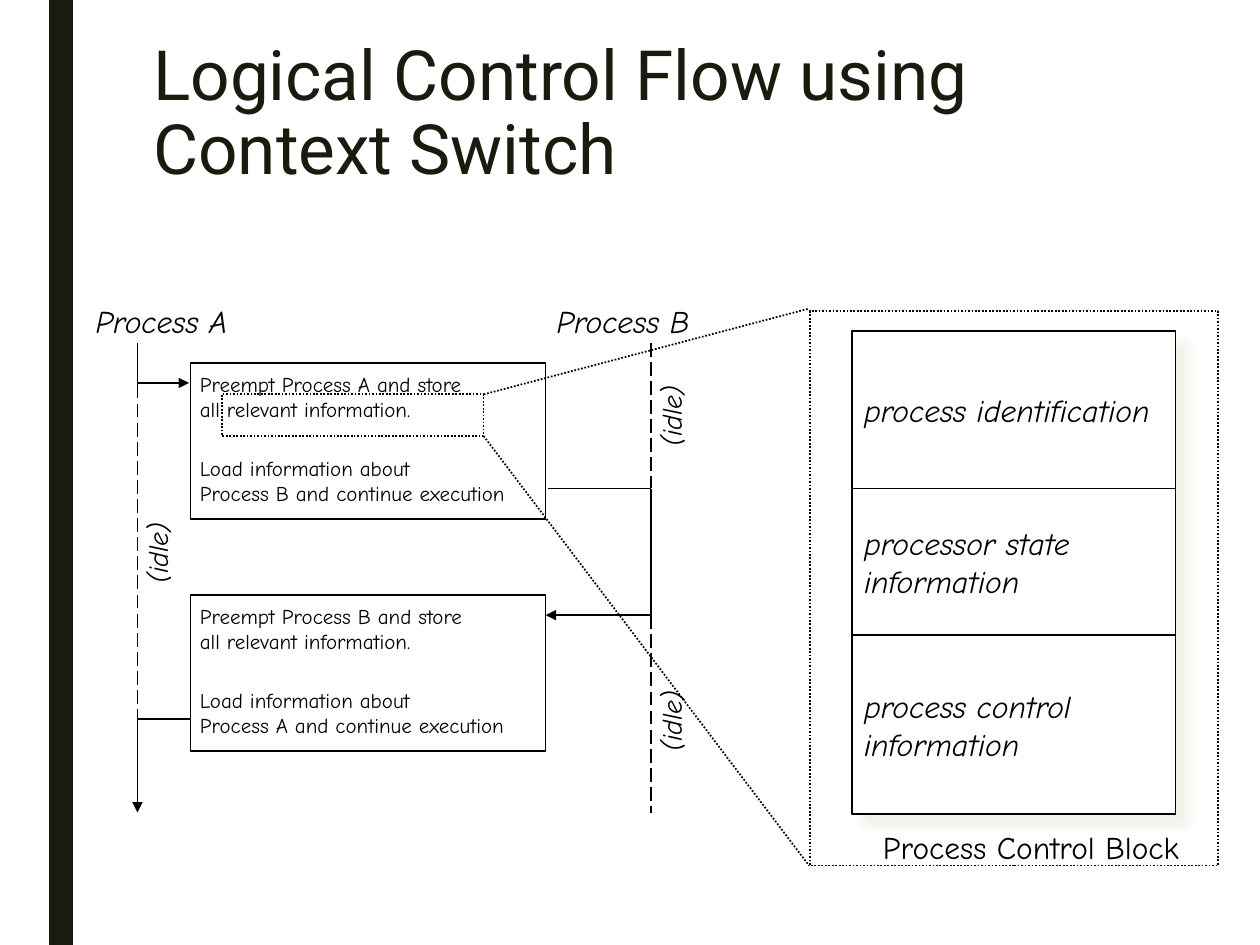
from lxml import etree
from pptx import Presentation
from pptx import util as u
from pptx.dml.color import RGBColor
from pptx.enum import dml, shapes, text
from pptx.oxml import ns

INK = RGBColor(0x19, 0x1B, 0x0E)
BLACK = RGBColor(0, 0, 0)
WHITE = RGBColor(0xFF, 0xFF, 0xFF)
SHADOW = RGBColor(0xEF, 0xED, 0xE3)
BODY_FONT, TITLE_FONT = "Comic Neue", "Roboto"
DASH, DOT = dml.MSO_LINE.LONG_DASH, dml.MSO_LINE.ROUND_DOT

# Content; all lengths in cm
TITLE = "Logical Control Flow using Context Switch"
A_X, B_X = 2.77, 13.13
PROCESSES = [("Process A", 1.68, 3.3), ("Process B", 10.97, 3.25)]
IDLE_SPOTS = [(12.65, 7.9), (12.65, 14.05), (2.29, 10.67)]
SWITCH_LEFT, SWITCH_W, SWITCH_H = 3.84, 7.16, 3.15
SWITCHES = [(7.32, "A", "B"), (11.99, "B", "A")]
BLOCK_LEFT, BLOCK_TOP, BLOCK_W = 17.17, 6.68, 6.53
BLOCK_ROWS = [
    (3.17, ["process identification"]),
    (2.96, ["processor state", "information"]),
    (3.6, ["process control", "information"]),
]
DETAIL = (4.47, 7.95, 5.28, 0.84)
ZOOM = (16.33, 6.27, 8.23, 11.18)
FLOW = [  # start, end, dash, arrow
    ((B_X, 6.91), (B_X, 9.83), DASH, False),
    ((A_X, 7.75), (A_X, 14.48), DASH, False),
    ((A_X, 6.91), (A_X, 7.72), None, False),
    ((A_X, 7.72), (3.81, 7.72), None, True),
    ((11.05, 9.85), (B_X, 9.85), None, False),
    ((B_X, 9.85), (B_X, 12.57), None, False),
    ((B_X, 12.4), (11, 12.4), None, True),
    ((SWITCH_LEFT, 14.5), (A_X, 14.5), None, False),
    ((A_X, 14.5), (A_X, 16.38), None, True),
    ((B_X, 12.4), (B_X, 16.38), DASH, False),
]

deck = Presentation()
deck.slide_width, deck.slide_height = u.Cm(25.4), u.Cm(19.05)
slide = deck.slides.add_slide(deck.slide_layouts[6])


def write(frame, lines, size, italic=False, font=BODY_FONT, color=BLACK):
    for number, line in enumerate(lines):
        paragraph = frame.paragraphs[0] if number == 0 else frame.add_paragraph()
        paragraph.alignment = text.PP_ALIGN.LEFT
        run = paragraph.add_run()
        run.text = line
        run.font.name, run.font.size = font, u.Pt(size)
        run.font.italic = italic
        run.font.color.rgb = color


def label(left, top, width, height, lines, size, italic=False):
    box = slide.shapes.add_textbox(*map(u.Cm, (left, top, width, height)))
    box.text_frame.word_wrap = False
    write(box.text_frame, lines, size, italic)
    return box


def rectangle(left, top, width, height, fill=WHITE, line=BLACK, dash=None):
    box = slide.shapes.add_shape(shapes.MSO_SHAPE.RECTANGLE,
                                 *map(u.Cm, (left, top, width, height)))
    box.shadow.inherit = False
    if fill is None:
        box.fill.background()
    else:
        box.fill.solid()
        box.fill.fore_color.rgb = fill
    if line is None:
        box.line.fill.background()
    else:
        box.line.color.rgb = line
        box.line.width = u.Pt(1)
        box.line.dash_style = dash
    return box


def connect(start, end, dash=None, arrow=False):
    link = slide.shapes.add_connector(shapes.MSO_CONNECTOR.STRAIGHT,
                                      *map(u.Cm, start + end))
    link.line.color.rgb = BLACK
    link.line.width = u.Pt(1)
    link.line.dash_style = dash
    if arrow:
        etree.SubElement(link.line._get_or_add_ln(), ns.qn("a:tailEnd"), type="triangle")
    etree.SubElement(link._element.spPr, ns.qn("a:effectLst"))


def cast_shadow(box):
    effects = box._element.spPr.find(ns.qn("a:effectLst"))
    outer = etree.SubElement(effects, ns.qn("a:outerShdw"), blurRad=str(u.Pt(5)),
                             dist=str(u.Pt(8.5)), dir="2700000", algn="tl", rotWithShape="0")
    color = etree.SubElement(outer, ns.qn("a:srgbClr"), val=str(SHADOW))
    etree.SubElement(color, ns.qn("a:alpha"), val="75000")


# Side stripe and title
rectangle(0.99, 0, 0.48, 19.05, INK, None)
title = slide.shapes.add_textbox(u.Cm(2.84), u.Cm(0.71), u.Cm(20), u.Cm(2.5))
title.text_frame.word_wrap = True
write(title.text_frame, [TITLE], 39.6, font=TITLE_FONT, color=INK)
title.text_frame.paragraphs[0].line_spacing = 0.89

# Context switches
for top, stopped, resumed in SWITCHES:
    rectangle(SWITCH_LEFT, top, SWITCH_W, SWITCH_H)
    label(3.78, top + 0.05, 6.1, 1.27,
          [f"Preempt Process {stopped} and store", "all relevant information."], 12)
    label(3.78, top + 1.74, 6.92, 1.27,
          ["Load information about", f"Process {resumed} and continue execution"], 12)

# Control flow of both processes
for start, end, dash, arrow in FLOW:
    connect(start, end, dash, arrow)
for left, top in IDLE_SPOTS:
    label(left, top, 1.75, 0.93, ["(idle)"], 16, True).rotation = 270
for name, left, width in PROCESSES:
    label(left, 5.97, width, 1.02, [name], 18, True)

# Process control block
block_height = sum(height for height, _ in BLOCK_ROWS)
cast_shadow(rectangle(BLOCK_LEFT, BLOCK_TOP, BLOCK_W, block_height))
row_top = BLOCK_TOP
for height, lines in BLOCK_ROWS:
    row = rectangle(BLOCK_LEFT, row_top, BLOCK_W, height)
    row.text_frame.word_wrap = True
    row.text_frame.vertical_anchor = text.MSO_ANCHOR.MIDDLE
    write(row.text_frame, lines, 18, True)
    row_top += height

# Zoom from the stored information to the block
for frame in (DETAIL, ZOOM):
    rectangle(*frame, fill=None, dash=DOT)
detail_right = DETAIL[0] + DETAIL[2]
connect((detail_right, DETAIL[1]), (16.31, 6.22), DOT)
connect((detail_right, DETAIL[1] + DETAIL[3]), (16.31, 17.45), DOT)
label(17.55, 16.56, 6.73, 1.02, ["Process Control Block"], 18)

deck.save("out.pptx")
